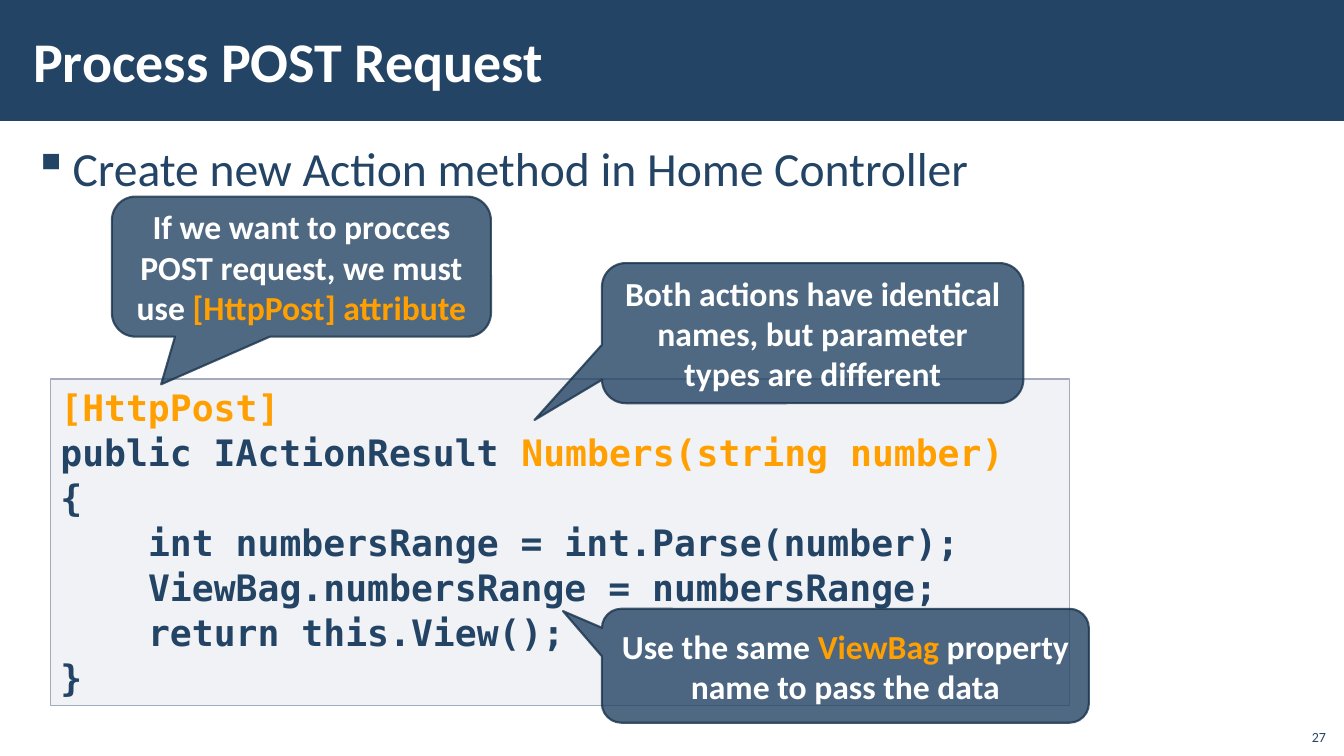
import dataclasses
import pptx
import pptx.util
import pptx.dml.color
import pptx.enum.shapes
import pptx.enum.text
import pptx.oxml.ns
import pptx.oxml.xmlchemy

Inches = pptx.util.Inches
Shape = pptx.enum.shapes.MSO_SHAPE
Align = pptx.enum.text.PP_ALIGN
Anchor = pptx.enum.text.MSO_ANCHOR


@dataclasses.dataclass(frozen=True)
class Theme:
    navy: str = "234465"
    edge: str = "1A334C"
    gray: str = "A3ABBC"
    white: str = "FFFFFF"
    gold: str = "FFA000"
    sans: str = "Calibri"
    mono: str = "DejaVu Sans Mono"
    title: int = 40
    body: int = 34
    code: int = 26
    note: int = 24
    foot: int = 10


theme = Theme()


def color(hue):
    return pptx.dml.color.RGBColor.from_string(hue)


def child(node, tag, **attrs):
    part = pptx.oxml.xmlchemy.OxmlElement(tag)
    for key, value in attrs.items():
        part.set(key, value)
    node.append(part)


def fade(shape, cover):
    for hue in shape._element.spPr.iter(pptx.oxml.ns.qn("a:srgbClr")):
        child(hue, "a:alpha", val=str(cover * 1000))


def block(slide, box, kind, fill, line=None, width=1):
    shape = slide.shapes.add_shape(kind, *map(Inches, box))
    shape.shadow.inherit = False
    shape.fill.solid()
    shape.fill.fore_color.rgb = color(fill)
    if line:
        shape.line.color.rgb = color(line)
        shape.line.width = pptx.util.Pt(width)
    else:
        shape.line.fill.background()
    return shape


def label(slide, box):
    return slide.shapes.add_textbox(*map(Inches, box))


def write(shape, lines, size, hue=theme.navy, font=theme.sans, bold=False,
          align=Align.LEFT, anchor=Anchor.TOP, inset=(0.1, 0.05),
          space=1.0, gap=0, mark=None, hang=0):
    frame = shape.text_frame
    frame.word_wrap = True
    frame.vertical_anchor = anchor
    frame.margin_left = frame.margin_right = Inches(inset[0])
    frame.margin_top = frame.margin_bottom = Inches(inset[1])
    for row, (left, runs) in enumerate(lines):
        para = frame.add_paragraph() if row else frame.paragraphs[0]
        para.alignment = align
        para.line_spacing = space
        para.space_before = para.space_after = pptx.util.Pt(gap)
        props = para._p.get_or_add_pPr()
        props.set("marL", str(Inches(left + hang)))
        props.set("indent", str(Inches(-hang)))
        if mark:
            child(props, "a:buChar", char=mark)
        for text, tint in runs:
            run = para.add_run()
            run.text = text
            run.font.name = font
            run.font.size = pptx.util.Pt(size)
            run.font.bold = bold
            run.font.color.rgb = color(tint or hue)


def header(slide, box, text):
    left, top, width, height = box
    block(slide, box, Shape.RECTANGLE, theme.navy)
    title = label(slide, (left + 0.21, top + 0.11, width - 2.7, height - 0.23))
    write(title, [(0, [(text, None)])], theme.title, theme.white, bold=True,
          anchor=Anchor.MIDDLE, inset=(0.12, 0.04))


def bullet(slide, box, text):
    write(label(slide, box), [(0, [(text, None)])], theme.body,
          inset=(0.12, 0.04), space=1.05, gap=6, mark="▪", hang=0.39)


def code(slide, box, lines):
    panel = block(slide, box, Shape.RECTANGLE, theme.gray)
    fade(panel, 15)
    panel.line.color.rgb = color(theme.gray)
    panel.line.width = pptx.util.Pt(1)
    write(panel, lines, theme.code, font=theme.mono, bold=True, space=1.03)


def callout(slide, box, tip, runs):
    bubble = block(slide, box, Shape.ROUNDED_RECTANGULAR_CALLOUT,
                   theme.navy, theme.edge, 1.5)
    fade(bubble, 80)
    for spot, value in enumerate((*tip, 0.17)):
        bubble.adjustments[spot] = value
    write(bubble, [(0, runs)], theme.note, theme.white, bold=True,
          align=Align.CENTER, anchor=Anchor.MIDDLE)


def footer(slide, box, text):
    write(label(slide, box), [(0, [(text, None)])], theme.foot,
          align=Align.RIGHT, anchor=Anchor.BOTTOM)


tab = 0.87
method = [
    (0, [("[HttpPost]", theme.gold)]),
    (0, [("public IActionResult ", None),
         ("Numbers(string number)", theme.gold)]),
    (0, [("{", None)]),
    (tab, [("int numbersRange = int.Parse(number);", None)]),
    (tab, [("ViewBag.numbersRange = numbersRange;", None)]),
    (tab, [("return this.View();", None)]),
    (0, [("}", None)]),
]
notes = [
    ((1.11, 1.95, 3.76, 1.39), (-0.37, 0.84),
     [("If we want to procces POST request, we must use ", None),
      ("[HttpPost] attribute", theme.gold)]),
    ((5.97, 2.61, 4.18, 1.39), (-0.66, 0.62),
     [("Both actions have identical names, but parameter "
       "types are different", None)]),
    ((5.97, 6.04, 4.83, 1.13), (-0.58, -0.48),
     [("Use the same ", None), ("ViewBag", theme.gold),
      (" property name to pass the data", None)]),
]

deck = pptx.Presentation()
deck.slide_width = Inches(13.33)
deck.slide_height = Inches(7.5)
slide = deck.slides.add_slide(deck.slide_layouts[6])
slide.background.fill.solid()
slide.background.fill.fore_color.rgb = color(theme.white)

header(slide, (0, 0, 13.33, 1.2), "Process POST Request")
bullet(slide, (0.21, 1.31, 12.92, 6.05),
       "Create new Action method in Home Controller")
code(slide, (0.5, 3.76, 10.11, 3.24), method)
for box, tip, runs in notes:
    callout(slide, box, tip, runs)
footer(slide, (12.85, 7.12, 0.4, 0.32), "27")
deck.save("out.pptx")
